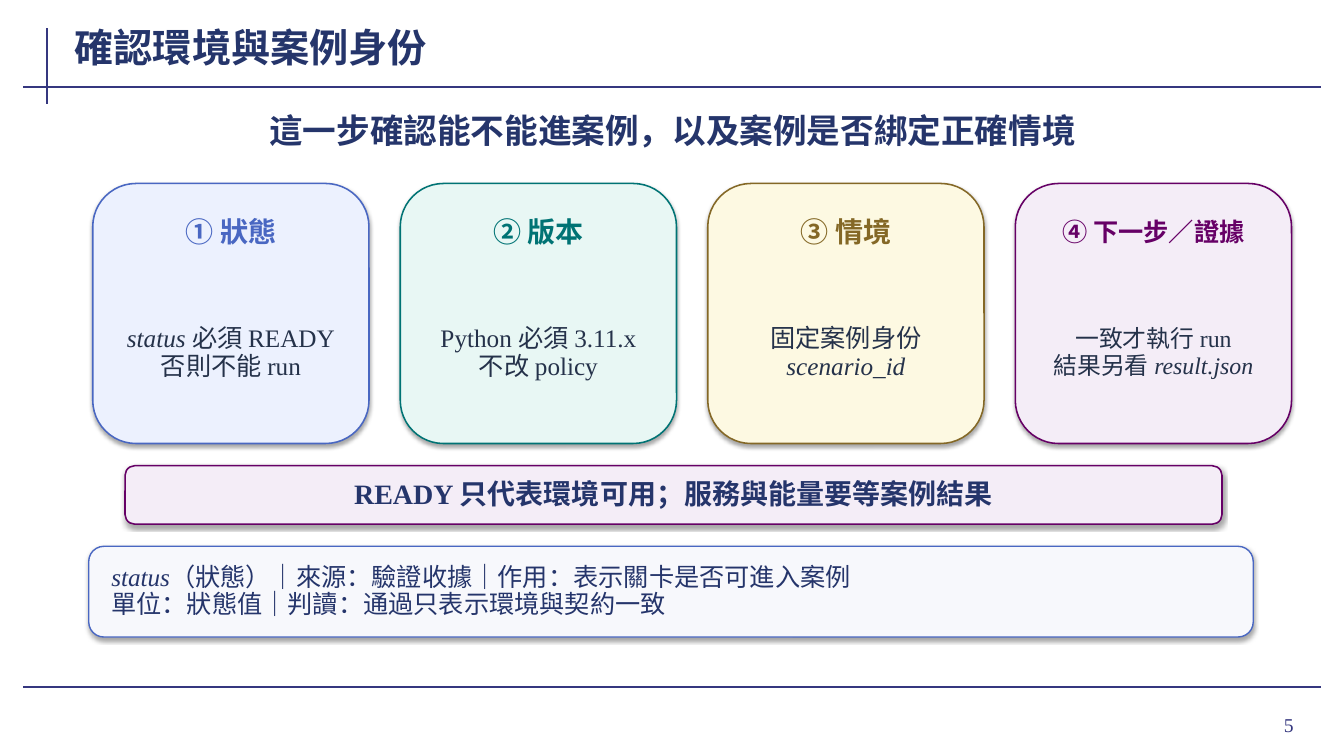
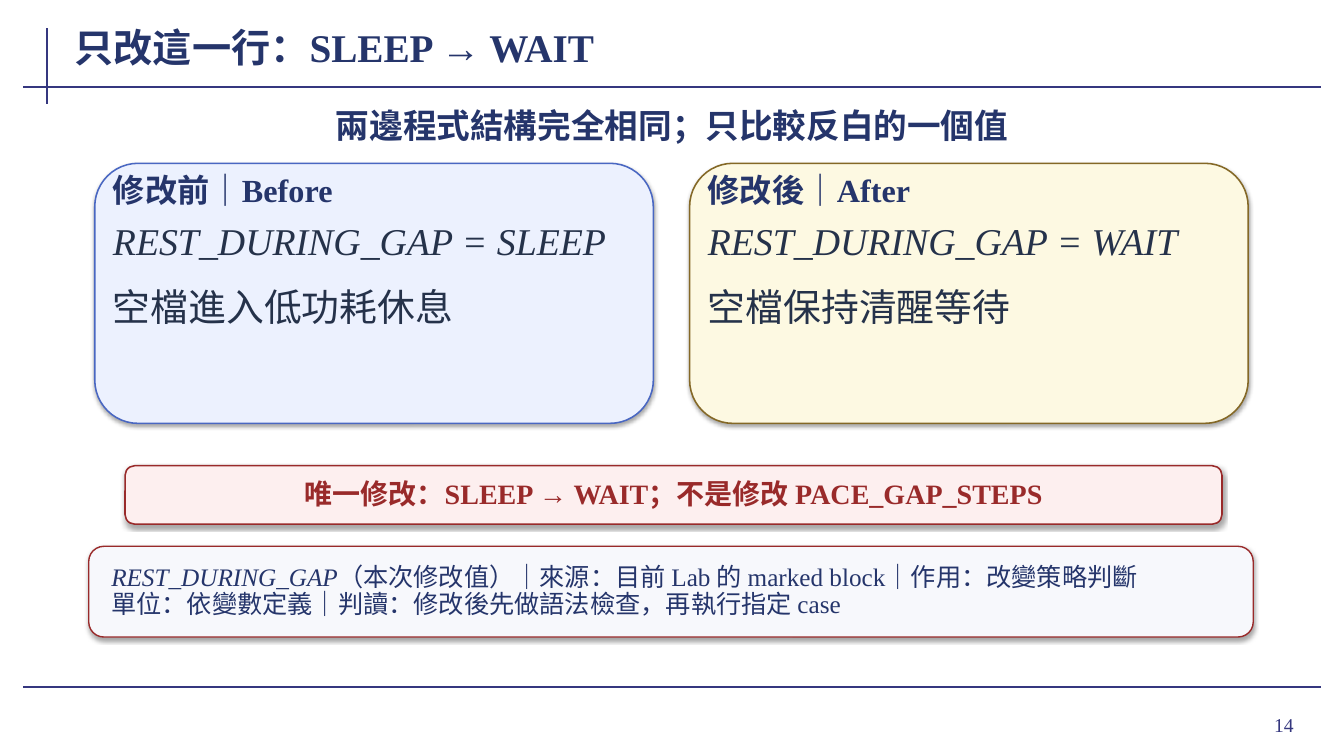
from lxml import etree
from pptx import Presentation
from pptx.dml.color import RGBColor
from pptx.enum.shapes import MSO_CONNECTOR, MSO_SHAPE
from pptx.enum.text import MSO_ANCHOR, PP_ALIGN
from pptx.oxml.ns import qn
from pptx.util import Inches, Pt

LEFT, CENTER, RIGHT = PP_ALIGN.LEFT, PP_ALIGN.CENTER, PP_ALIGN.RIGHT
TOP, MIDDLE = MSO_ANCHOR.TOP, MSO_ANCHOR.MIDDLE
ROUNDED = MSO_SHAPE.ROUNDED_RECTANGLE
STRAIGHT = MSO_CONNECTOR.STRAIGHT
FONT = "Times New Roman"

COLORS = {
    "rule": "35377F", "navy": "25356B", "body": "25324A", "shadow": "000000",
    "blue": "4967C2", "blue_tint": "ECF1FE",
    "teal": "007374", "teal_tint": "E8F7F4",
    "gold": "846826", "gold_tint": "FDF9E2",
    "purple": "660066", "purple_tint": "F4EDF7",
    "red": "992A2A", "red_tint": "FDEFEF",
    "note": "F7F8FC",
}

RULES = [(0.47, 0.28, 0.47, 1.03), (0.23, 0.86, 13.1, 0.86), (0.23, 6.82, 13.1, 6.82)]

# Text between asterisks is set in italics.
CHECK = {
    "title": "確認環境與案例身份",
    "number": "5",
    "lead": "這一步確認能不能進案例，以及案例是否綁定正確情境",
    "cards": [
        ("① 狀態", ["*status* 必須 READY", "否則不能 run"], "blue", 20, 18),
        ("② 版本", ["Python 必須 3.11.x", "不改 policy"], "teal", 20, 18),
        ("③ 情境", ["固定案例身份", "*scenario_id*"], "gold", 20, 18),
        ("④ 下一步／證據", ["一致才執行 run", "結果另看 *result.json*"], "purple", 18, 17),
    ],
    "message": ("READY 只代表環境可用；服務與能量要等案例結果", "purple", "navy"),
    "note": (["*status*（狀態）｜來源：驗證收據｜作用：表示關卡是否可進入案例",
              "單位：狀態值｜判讀：通過只表示環境與契約一致"], "blue"),
}

CHANGE = {
    "title": "只改這一行：SLEEP → WAIT",
    "number": "14",
    "lead": "兩邊程式結構完全相同；只比較反白的一個值",
    "cards": [
        ("修改前｜Before", ["*REST_DURING_GAP = SLEEP*", "空檔進入低功耗休息"], "blue"),
        ("修改後｜After", ["*REST_DURING_GAP = WAIT*", "空檔保持清醒等待"], "gold"),
    ],
    "message": ("唯一修改：SLEEP → WAIT；不是修改 PACE_GAP_STEPS", "red", "red"),
    "note": (["*REST_DURING_GAP*（本次修改值）｜來源：目前 Lab 的 marked block｜作用：改變策略判斷",
              "單位：依變數定義｜判讀：修改後先做語法檢查，再執行指定 case"], "red"),
}


def rgb(name):
    return RGBColor.from_string(COLORS[name])


def write(shape, lines, size, color="navy", bold=False, align=LEFT, anchor=MIDDLE,
          spacing=1.0, gap=0, inset=(0.02, 0.01)):
    frame = shape.text_frame
    frame.word_wrap = True
    frame.vertical_anchor = anchor
    frame.margin_left = frame.margin_right = Inches(inset[0])
    frame.margin_top = frame.margin_bottom = Inches(inset[1])
    for index, line in enumerate(lines):
        paragraph = frame.add_paragraph() if index else frame.paragraphs[0]
        paragraph.alignment = align
        paragraph.line_spacing = spacing
        if index and gap:
            paragraph.space_before = Pt(gap)
        for part, words in enumerate(line.split("*")):
            if words:
                run = paragraph.add_run()
                run.text = words
                run.font.name = FONT
                run.font.size = Pt(size)
                run.font.bold = bold
                run.font.italic = part % 2 == 1
                run.font.color.rgb = rgb(color)


def add_text(slide, area, lines, size, **style):
    write(slide.shapes.add_textbox(*map(Inches, area)), lines, size, **style)


def add_panel(slide, area, fill, line, width=1.1):
    panel = slide.shapes.add_shape(ROUNDED, *map(Inches, area))
    panel.fill.solid()
    panel.fill.fore_color.rgb = rgb(fill)
    panel.line.color.rgb = rgb(line)
    panel.line.width = Pt(width)
    panel.shadow.inherit = False
    effects = panel._element.spPr.find(qn("a:effectLst"))
    shadow = etree.SubElement(effects, qn("a:outerShdw"), blurRad=str(Pt(3.1)),
                              dist=str(Pt(1.8)), dir="5400000", rotWithShape="0")
    tone = etree.SubElement(shadow, qn("a:srgbClr"), val=COLORS["shadow"])
    etree.SubElement(tone, qn("a:alpha"), val="35000")
    return panel


def add_frame(deck, content):
    slide = deck.slides.add_slide(deck.slide_layouts[6])
    for ends in RULES:
        rule = slide.shapes.add_connector(STRAIGHT, *map(Inches, ends))
        rule.line.color.rgb = rgb("rule")
        rule.line.width = Pt(1.5)
        etree.SubElement(rule._element.spPr, qn("a:effectLst"))
    add_text(slide, (11.96, 6.93, 0.97, 0.52), [content["number"]], 14,
             color="rule", align=RIGHT, inset=(0.1, 0.05))
    add_text(slide, (0.72, 0.2, 10.35, 0.53), [content["title"]], 28,
             bold=True, inset=(0.02, 0))
    message, accent, ink = content["message"]
    band = add_panel(slide, (1.24, 4.62, 10.88, 0.58), accent + "_tint", accent)
    write(band, [message], 20, color=ink, bold=True, align=CENTER,
          spacing=0.95, inset=(0.12, 0.04))
    lines, accent = content["note"]
    note = add_panel(slide, (0.88, 5.42, 11.55, 0.9), "note", accent, width=1)
    write(note, lines, 18, spacing=0.9, inset=(0.18, 0.03))
    return slide


def build_check(deck):
    slide = add_frame(deck, CHECK)
    add_text(slide, (1.02, 1.05, 11.3, 0.52), [CHECK["lead"]], 24, bold=True,
             align=CENTER, spacing=0.96, inset=(0.02, 0))
    for index, (heading, lines, accent, heading_size, body_size) in enumerate(CHECK["cards"]):
        left = 0.92 + index * 3.05
        add_panel(slide, (left, 1.82, 2.74, 2.58), accent + "_tint", accent)
        add_text(slide, (left + 0.16, 2.02, 2.42, 0.58), [heading], heading_size,
                 color=accent, bold=True, align=CENTER, spacing=0.92, inset=(0.03, 0.01))
        add_text(slide, (left + 0.18, 2.8, 2.38, 1.4), lines, body_size, color="body",
                 align=CENTER, spacing=0.94, inset=(0.05, 0.01))


def build_change(deck):
    slide = add_frame(deck, CHANGE)
    add_text(slide, (0.94, 0.98, 11.45, 0.52), [CHANGE["lead"]], 24, bold=True, align=CENTER)
    for index, (heading, lines, accent) in enumerate(CHANGE["cards"]):
        left = 0.94 + index * 5.9
        add_panel(slide, (left, 1.62, 5.54, 2.58), accent + "_tint", accent)
        add_text(slide, (left + 0.16, 1.72, 5.22, 0.46), [heading], 23, bold=True,
                 anchor=TOP, spacing=0.9)
        add_text(slide, (left + 0.16, 2.2, 5.22, 1.92), lines, 27, color="body",
                 anchor=TOP, spacing=0.9, gap=18)


def main():
    deck = Presentation()
    deck.slide_width, deck.slide_height = Inches(13.33), Inches(7.5)
    build_check(deck)
    build_change(deck)
    deck.save("out.pptx")


if __name__ == "__main__":
    main()
